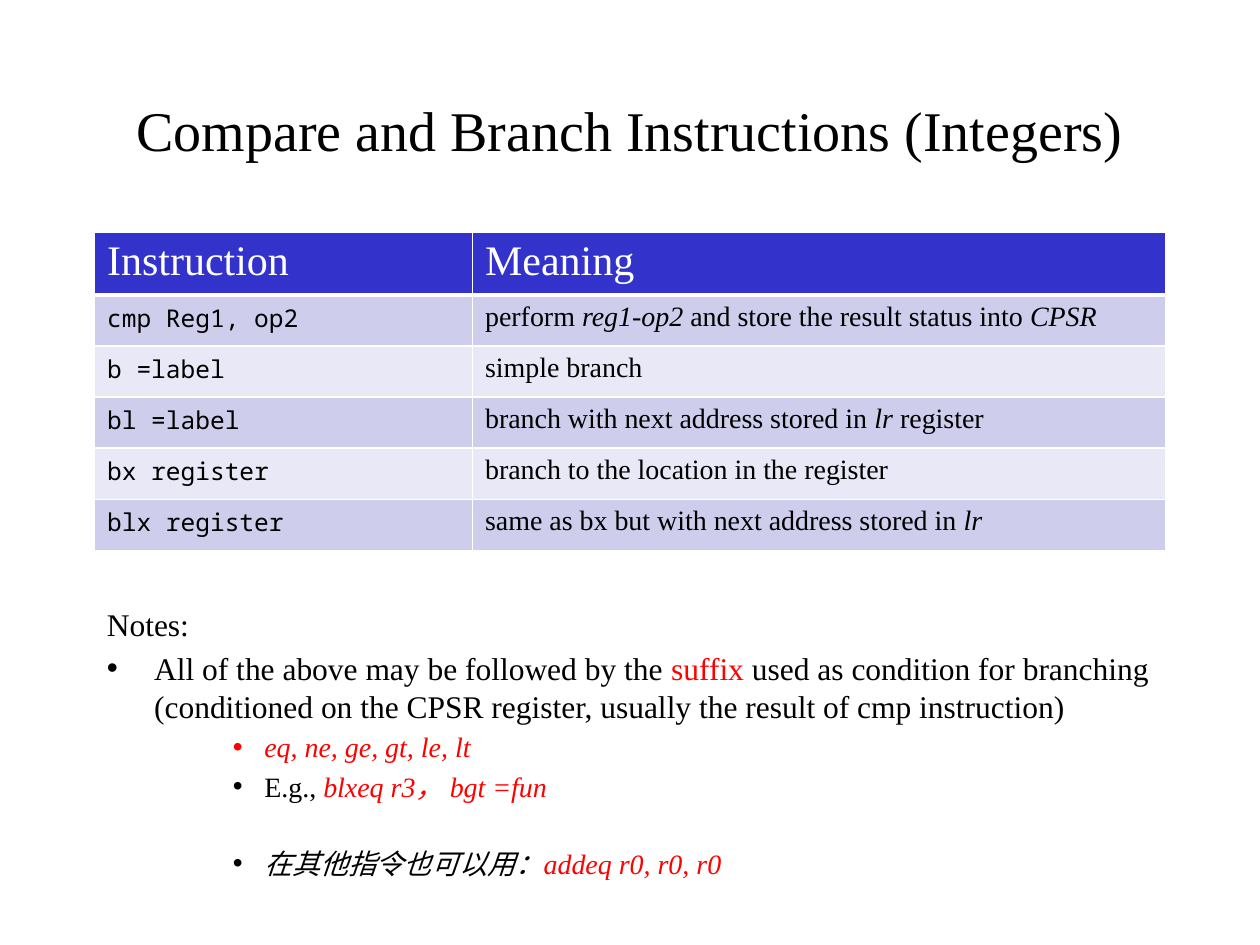
"""Build a slide on compare and branch instructions."""
from dataclasses import dataclass

from lxml.etree import SubElement
from pptx import Presentation
from pptx.dml.color import RGBColor
from pptx.enum.text import MSO_ANCHOR, PP_ALIGN
from pptx.oxml import parse_xml
from pptx.oxml.ns import nsdecls, qn
from pptx.util import Pt


@dataclass(frozen=True)
class Theme:
    serif: str = "Times New Roman"
    mono: str = "Noto Sans Mono"
    black: str = "000000"
    white: str = "FFFFFF"
    red: str = "FF0000"
    head: str = "3333CC"
    bands: tuple = ("CECEEC", "E8E8F6")
    title: int = 32
    label: int = 24
    note: int = 18
    text: int = 16
    code: int = 14


THEME = Theme()
LEFT, WIDTH = 54, 612
ROWS = [
    ("cmp Reg1, op2", [("perform ", ""), ("reg1-op2", "i"),
                       (" and store the result status into ", ""), ("CPSR", "i")]),
    ("b =label", [("simple branch", "")]),
    ("bl =label", [("branch with next address stored in ", ""), ("lr", "i"), (" register", "")]),
    ("bx register", [("branch to the location in the register", "")]),
    ("blx register", [("same as bx but with next address stored in ", ""), ("lr", "i")]),
]
NOTES = [
    ("plain", 0, [("Notes:", "")]),
    ("main", 3.6, [("All of the above may be followed by the ", ""), ("suffix", "r"),
                   (" used as condition for branching (conditioned on the CPSR register, "
                    "usually the result of cmp instruction)", "")]),
    ("sub", 3.2, [("eq, ne, ge, gt, le, lt", "ir")]),
    ("sub", 3.2, [("E.g., ", ""), ("blxeq r3， bgt =fun", "ir")]),
    ("sub", 25, [("在其他指令也可以用：", "i"), ("addeq r0, r0, r0", "ir")]),
]
LEVELS = {
    "plain": (THEME.note, 0, 0),
    "main": (THEME.note, 27, 27),
    "sub": (THEME.text, 90, 18),
}


def write(para, parts, size, face=THEME.serif, color=THEME.black):
    para.text = parts[0][0]
    for text, _ in parts[1:]:
        para.add_run().text = text
    for run, (_, style) in zip(para.runs, parts):
        font = run.font
        font.name, font.size, font.bold = face, Pt(size), False
        font.italic = "i" in style
        font.color.rgb = RGBColor.from_string(THEME.red if "r" in style else color)


def add_box(slide, top, height):
    frame = slide.shapes.add_textbox(Pt(LEFT), Pt(top), Pt(WIDTH), Pt(height)).text_frame
    frame.word_wrap = True
    return frame


def add_title(slide, text):
    frame = add_box(slide, 48, 51)
    frame.vertical_anchor = MSO_ANCHOR.MIDDLE
    para = frame.paragraphs[0]
    para.alignment = PP_ALIGN.CENTER
    write(para, [(text, "")], THEME.title)


def set_bullet(para, margin, hang):
    props = para._p.get_or_add_pPr()
    props.set("marL", str(Pt(margin)))
    props.set("indent", str(Pt(-hang)))
    SubElement(props, qn("a:buFont")).set("typeface", "Arial")
    SubElement(props, qn("a:buChar")).set("char", "•")


def add_notes(slide):
    frame = add_box(slide, 342, 138)
    for index, (level, gap, parts) in enumerate(NOTES):
        para = frame.add_paragraph() if index else frame.paragraphs[0]
        size, margin, hang = LEVELS[level]
        if hang:
            set_bullet(para, margin, hang)
        para.space_before = Pt(gap)
        write(para, parts, size)


def set_edges(cell, tops, base):
    props = cell._tc.get_or_add_tcPr()
    widths = {"lnL": 1, "lnR": 1, "lnT": tops, "lnB": base}
    for index, (side, width) in enumerate(widths.items()):
        props.insert(index, parse_xml(
            f'<a:{side} {nsdecls("a")} w="{Pt(width)}"><a:solidFill>'
            f'<a:srgbClr val="{THEME.white}"/></a:solidFill></a:{side}>'))


def fill_row(cells, index, fill):
    for cell in cells:
        cell.fill.solid()
        cell.fill.fore_color.rgb = RGBColor.from_string(fill)
        set_edges(cell, 3 if index == 1 else 1, 1 if index else 3)


def add_grid(slide):
    count = len(ROWS) + 1
    table = slide.shapes.add_table(
        count, 2, Pt(LEFT), Pt(132.5), Pt(WIDTH), Pt(29.2 * count)).table
    table.first_row = table.horz_banding = False
    for column, width in zip(table.columns, (216, 396)):
        column.width = Pt(width)
    for index, row in enumerate(table.rows):
        cells = list(row.cells)
        paras = [cell.text_frame.paragraphs[0] for cell in cells]
        if index:
            code, parts = ROWS[index - 1]
            write(paras[0], [(code, "")], THEME.code, THEME.mono)
            write(paras[1], parts, THEME.text)
            fill_row(cells, index, THEME.bands[(index - 1) % 2])
        else:
            for para, label in zip(paras, ("Instruction", "Meaning")):
                write(para, [(label, "")], THEME.label, color=THEME.white)
            fill_row(cells, index, THEME.head)


def main():
    deck = Presentation()
    deck.slide_width, deck.slide_height = Pt(720), Pt(540)
    slide = deck.slides.add_slide(deck.slide_layouts[6])
    add_title(slide, "Compare and Branch Instructions (Integers)")
    add_notes(slide)
    add_grid(slide)
    deck.save("out.pptx")


if __name__ == "__main__":
    main()
